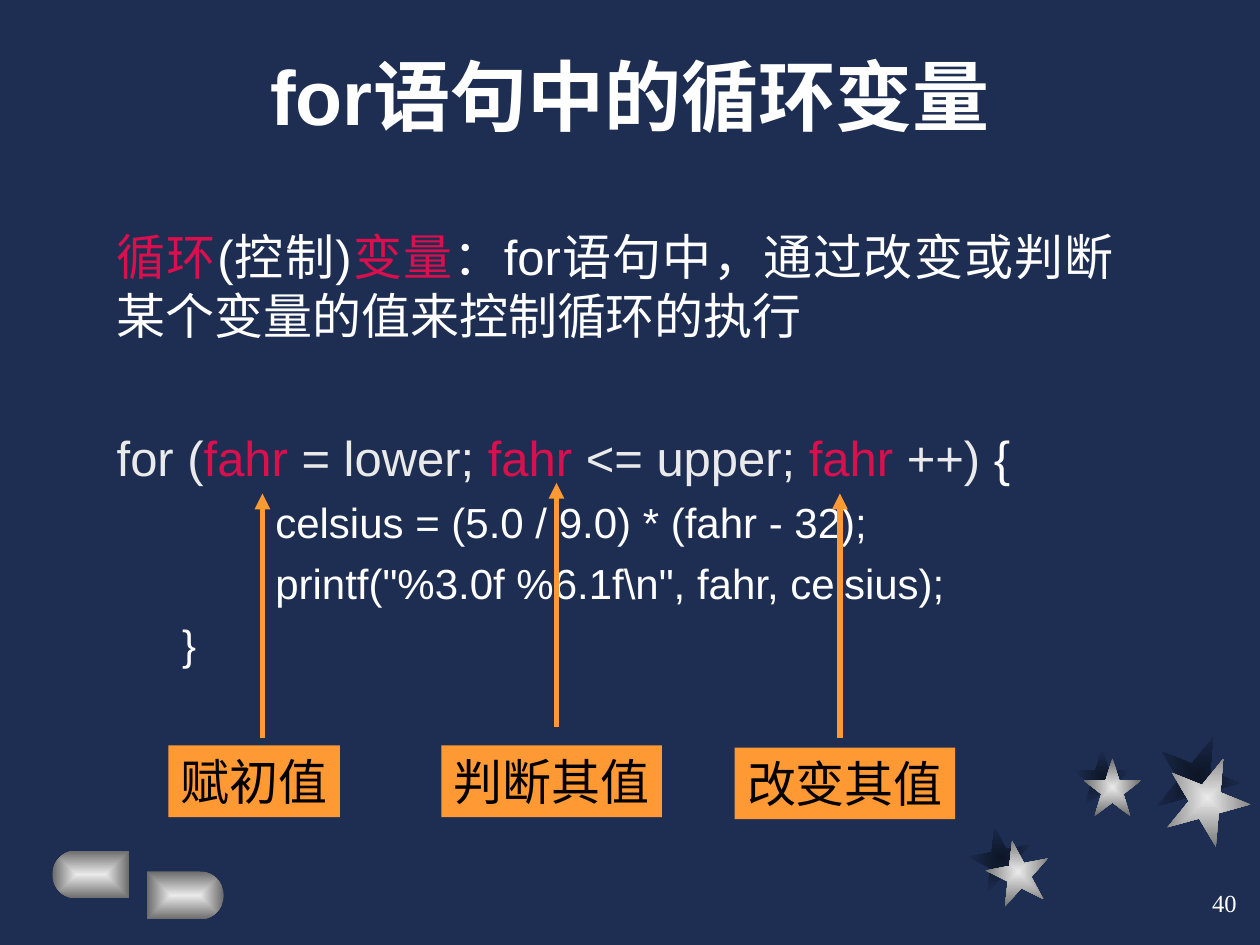
import math
from lxml import etree
from pptx import Presentation
from pptx import util as u
from pptx.dml.color import RGBColor
from pptx.enum import shapes, text
from pptx.oxml.ns import qn

NAVY = RGBColor(0x1E, 0x2E, 0x53)
DARK_NAVY = RGBColor(0x0D, 0x15, 0x26)
WHITE = RGBColor(0xFF, 0xFF, 0xFF)
SILVER = RGBColor(0xEA, 0xEA, 0xEA)
GREY = RGBColor(0x6B, 0x6B, 0x6B)
CRIMSON = RGBColor(0xD9, 0x0F, 0x4E)
ORANGE = RGBColor(0xFF, 0x99, 0x33)
BLACK = RGBColor(0, 0, 0)


class Deck:
    """Style and current slide; all lengths are in points."""
    font = "Arial"
    label_font = "Times New Roman"

    def __init__(self, width, height):
        self.prs = Presentation()
        self.prs.slide_width, self.prs.slide_height = u.Pt(width), u.Pt(height)
        self.s = self.prs.slides.add_slide(self.prs.slide_layouts[5])
        fill = self.s.background.fill
        fill.solid()
        fill.fore_color.rgb = NAVY

    def run(self, p, content, size, color, font=None, bold=False):
        r = p.add_run()
        r.text = content
        r.font.name = font or self.font
        r.font.size = u.Pt(size)
        r.font.bold = bold
        r.font.color.rgb = color

    def title(self, box, content):
        sp = self.s.shapes.title
        sp.left, sp.top, sp.width, sp.height = map(u.Pt, box)
        tf = sp.text_frame
        tf.auto_size = text.MSO_AUTO_SIZE.NONE
        tf.vertical_anchor = text.MSO_ANCHOR.BOTTOM
        p = tf.paragraphs[0]
        p.alignment = text.PP_ALIGN.CENTER
        self.run(p, content, 44, WHITE, bold=True)

    def text_box(self, box):
        tf = self.s.shapes.add_textbox(*map(u.Pt, box)).text_frame
        tf.word_wrap = True
        return tf

    def paragraph(self, p, runs, size, before=0, margin=0, indent=0):
        p.alignment = text.PP_ALIGN.JUSTIFY
        p.space_before = u.Pt(before)
        pPr = p._p.get_or_add_pPr()
        pPr.set("marL", str(u.Pt(margin)))
        pPr.set("indent", str(u.Pt(indent)))
        for content, color in runs:
            self.run(p, content, size, color)

    def shade(self, sp, inner, outer):
        """Rectangular gradient from the centre outwards, with no outline."""
        sp.shadow.inherit = False
        sp.line.fill.background()
        sp.fill.gradient()
        for stop, color in zip(sp.fill.gradient_stops, (inner, outer)):
            stop.color.rgb = color
        grad = sp._element.spPr.find(qn("a:gradFill"))
        grad.remove(grad.find(qn("a:lin")))
        path = etree.SubElement(grad, qn("a:path"), path="rect")
        etree.SubElement(path, qn("a:fillToRect"),
                         dict.fromkeys("ltrb", "50000"))

    def star(self, left, top, size, angle, inner, outer):
        sp = self.s.shapes.add_shape(shapes.MSO_SHAPE.STAR_5_POINT,
                                     *map(u.Pt, (left, top, size, size)))
        sp.rotation = angle
        self.shade(sp, inner, outer)

    def half_pill(self, flat_x, top, width, height, side):
        """Flat at flat_x, rounded on the left (side -1) or right (side 1)."""
        radius = height / 2
        centre_x = flat_x + side * (width - radius)
        outline = [(centre_x + side * radius * math.cos(a),
                    top + radius + radius * math.sin(a))
                   for a in (math.pi * (i / 20 - 0.5) for i in range(21))]
        outline.append((flat_x, top + height))
        fb = self.s.shapes.build_freeform(u.Pt(flat_x), u.Pt(top))
        fb.add_line_segments([(u.Pt(x), u.Pt(y)) for x, y in outline],
                             close=True)
        self.shade(fb.convert_to_shape(), SILVER, GREY)

    def label(self, box, content):
        sp = self.s.shapes.add_shape(shapes.MSO_SHAPE.RECTANGLE,
                                     *map(u.Pt, box))
        sp.shadow.inherit = False
        sp.fill.solid()
        sp.fill.fore_color.rgb = ORANGE
        sp.line.fill.background()
        tf = sp.text_frame
        tf.word_wrap = True
        tf.auto_size = text.MSO_AUTO_SIZE.NONE
        tf.margin_right = 0
        tf.vertical_anchor = text.MSO_ANCHOR.TOP
        p = tf.paragraphs[0]
        p.alignment = text.PP_ALIGN.LEFT
        self.run(p, content, 28, BLACK, self.label_font)

    def arrow_up(self, x, bottom, top):
        c = self.s.shapes.add_connector(shapes.MSO_CONNECTOR.STRAIGHT,
                                        *map(u.Pt, (x, bottom, x, top)))
        c.line.color.rgb = ORANGE
        c.line.width = u.Pt(3)
        ln = c.line._get_or_add_ln()
        ln.set("cap", "sq")
        etree.SubElement(ln, qn("a:tailEnd"), type="triangle")
        etree.SubElement(c._element.spPr, qn("a:effectLst"))

    def page_number(self, box, number):
        tf = self.text_box(box)
        tf.vertical_anchor = text.MSO_ANCHOR.MIDDLE
        p = tf.paragraphs[0]
        p.alignment = text.PP_ALIGN.RIGHT
        self.run(p, number, 14, WHITE, self.label_font)


def main():
    d = Deck(720, 540)

    # Decoration: star shadows, stars, half pills
    sizes, angles = (36, 33, 48), (349, 0, 22)
    star_layers = (
        (((553.7, 472.3), (613.4, 427.7), (660.2, 419.8)), DARK_NAVY, NAVY),
        (((563.8, 480.2), (619.2, 433.4), (666, 432)), SILVER, GREY),
    )
    for corners, inner, outer in star_layers:
        for (left, top), size, angle in zip(corners, sizes, angles):
            d.star(left, top, size, angle, inner, outer)
    d.half_pill(73.8, 486, 43.8, 27.4, -1)
    d.half_pill(84, 498, 43.8, 27.4, 1)

    # Title
    d.title((54, 18, 612, 66), "for语句中的循环变量")

    # Definition and code
    tf = d.text_box((59.6, 126, 584, 278.6))
    d.paragraph(tf.paragraphs[0], [
        ("循环", CRIMSON), ("(控制)", WHITE), ("变量", CRIMSON),
        ("：for语句中，通过改变或判断某个变量的值来控制循环的执行", WHITE)], 28)
    d.paragraph(tf.add_paragraph(), [
        ("for (", SILVER), ("fahr", CRIMSON), (" = lower; ", SILVER),
        ("fahr", CRIMSON), (" <= upper; ", SILVER), ("fahr", CRIMSON),
        (" ++)", SILVER), (" {", WHITE)], 28, before=47.5)
    for line in ("        celsius = (5.0 / 9.0) * (fahr - 32);",
                 '        printf("%3.0f %6.1f\\n", fahr, celsius);',
                 "}"):
        d.paragraph(tf.add_paragraph(), [(line, WHITE)], 24,
                    before=6, margin=59.9, indent=-22.5)

    # Labels with arrows to the three uses of the loop variable
    for content, left, top, width, x, bottom in (
            ("赋初值", 96.2, 426, 98, 150, 420),
            ("判断其值", 252.2, 426, 126, 318, 414),
            ("改变其值", 419.8, 427.2, 126, 480, 420)):
        d.label((left, top, width, 41), content)
        d.arrow_up(x, bottom, bottom - 138)

    # Page number
    d.page_number((563.8, 498, 150, 36), "40")

    d.prs.save("out.pptx")


if __name__ == "__main__":
    main()
